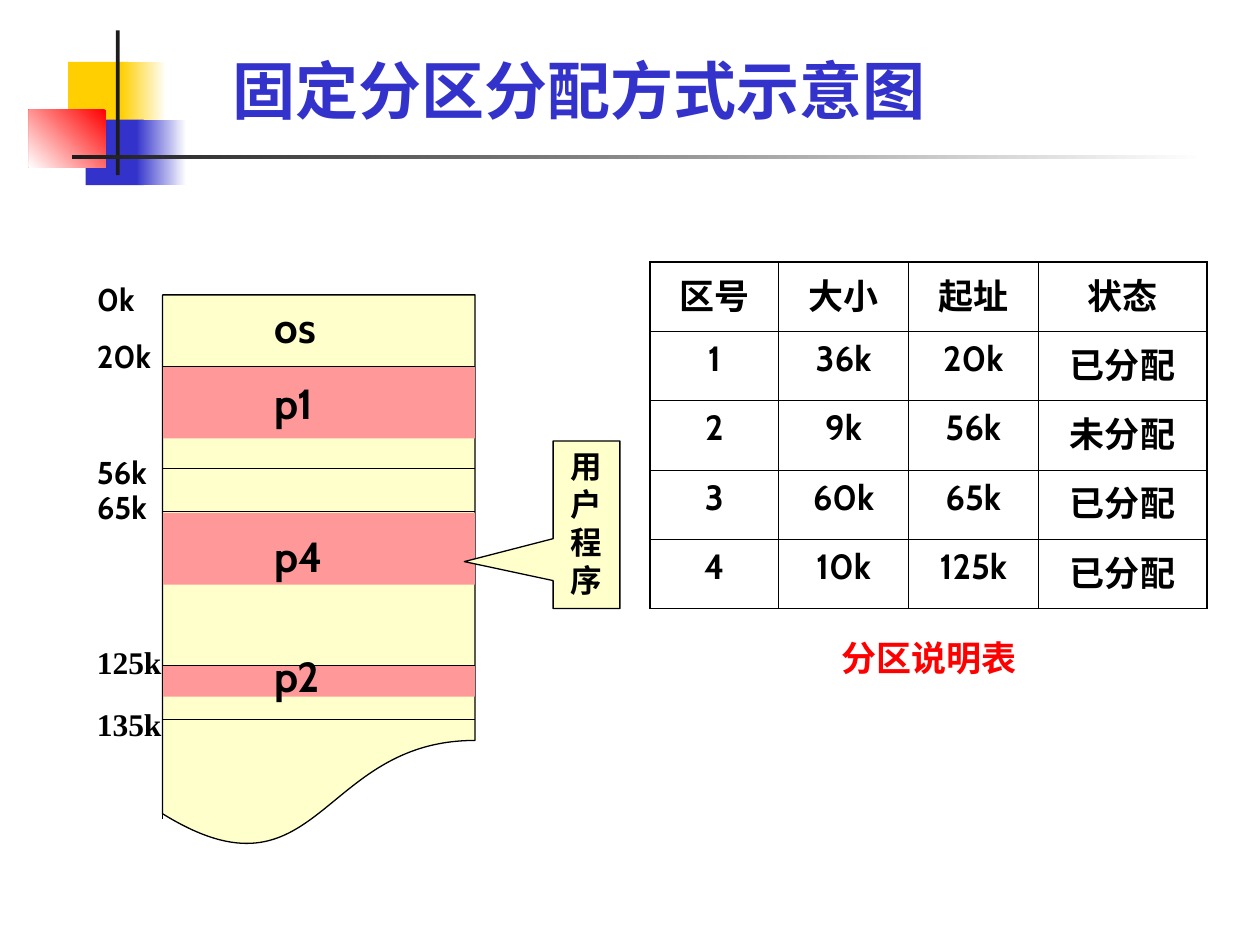
import pptx
import pptx.dml.color
import pptx.enum.shapes
import pptx.enum.text
import pptx.oxml
import pptx.oxml.ns
import pptx.util
from lxml import etree

Inches = pptx.util.Inches
Pt = pptx.util.Pt
RGBColor = pptx.dml.color.RGBColor
MSO_SHAPE = pptx.enum.shapes.MSO_SHAPE
PP_ALIGN = pptx.enum.text.PP_ALIGN
MSO_ANCHOR = pptx.enum.text.MSO_ANCHOR
qn = pptx.oxml.ns.qn

BLACK = RGBColor(0x00, 0x00, 0x00)
WHITE = RGBColor(0xFF, 0xFF, 0xFF)
CHARCOAL = RGBColor(0x1C, 0x1C, 0x1C)
YELLOW = RGBColor(0xFF, 0xCF, 0x01)
BLUE = RGBColor(0x33, 0x33, 0xCC)
RED = RGBColor(0xFF, 0x00, 0x00)
CREAM = RGBColor(0xFF, 0xFF, 0xCC)
PINK = RGBColor(0xFF, 0x99, 0x99)

LATIN = "Cabin"
CJK = "Noto Sans CJK SC"
SERIF = "Times New Roman"


def write_text(tf, text, size=18, color=BLACK, font=LATIN, align=PP_ALIGN.LEFT,
               before=None, spacing=None):
    """Write one bold paragraph, filling the first one if it is empty."""
    p = tf.paragraphs[0] if not tf.text else tf.add_paragraph()
    p.alignment = align
    if before is not None:
        p.space_before = Pt(before)
    if spacing is not None:
        p.line_spacing = spacing
    r = p.add_run()
    r.text = text
    r.font.size = Pt(size)
    r.font.bold = True
    r.font.color.rgb = color
    r.font.name = font
    r.font._element.find(qn("a:latin")).addnext(
        pptx.oxml.parse_xml(
            '<a:ea xmlns:a="http://schemas.openxmlformats.org/drawingml/2006/main" '
            f'typeface="{CJK}"/>'))


def add_text_box(s, left, top, width, height, anchor=MSO_ANCHOR.TOP):
    """Add a wrapping text box and return its text frame."""
    tf = s.shapes.add_textbox(Inches(left), Inches(top), Inches(width), Inches(height)).text_frame
    tf.word_wrap = True
    tf.vertical_anchor = anchor
    return tf


def add_block(s, left, top, width, height, color, kind=MSO_SHAPE.RECTANGLE,
              fade=None, outlined=False):
    """Add a shape, solid or fading to white at the given angle."""
    sp = s.shapes.add_shape(kind, Inches(left), Inches(top), Inches(width), Inches(height))
    sp.shadow.inherit = False
    if fade is None:
        sp.fill.solid()
        sp.fill.fore_color.rgb = color
    else:
        sp.fill.gradient()
        sp.fill.gradient_angle = fade
        for stop, shade in zip(sp.fill.gradient_stops, (color, WHITE)):
            stop.color.rgb = shade
    if outlined:
        sp.line.color.rgb = BLACK
        sp.line.width = Pt(0.75)
    else:
        sp.line.fill.background()
    return sp


def add_line(s, x1, y1, x2, y2):
    """Add a thin black line."""
    line = s.shapes.add_connector(pptx.enum.shapes.MSO_CONNECTOR.STRAIGHT,
                                  Inches(x1), Inches(y1), Inches(x2), Inches(y2))
    line.line.color.rgb = BLACK
    line.line.width = Pt(0.75)
    etree.SubElement(line._element.spPr, qn("a:effectLst"))


def build_ornament(s, left, top):
    """Place the coloured squares and crossing bars of the header."""
    for x, y, w, h, color, fade in (
            (0.31, 0.25, 0.48, 0.52, YELLOW, None),
            (0.73, 0.25, 0.36, 0.52, YELLOW, 0),
            (0.45, 0.71, 0.46, 0.52, BLUE, None),
            (0.85, 0.71, 0.4, 0.52, BLUE, 0),
            (0, 0.63, 0.61, 0.46, RED, 225),
            (0.69, 0, 0.03, 1.15, CHARCOAL, None),
            (0.34, 0.99, 9, 0.03, CHARCOAL, 0)):
        add_block(s, left + x, top + y, w, h, color, fade=fade)


def build_title(s, left, top, width, height):
    """Place the slide title."""
    tf = add_text_box(s, left, top, width, height, MSO_ANCHOR.BOTTOM)
    write_text(tf, "固定分区分配方式示意图", size=36, color=BLUE, font=CJK)


def build_memory_map(s, left, top, width, height):
    """Place the memory column with its programs, dividers and addresses."""
    add_block(s, left, top, width, height, CREAM, MSO_SHAPE.FLOWCHART_DOCUMENT, outlined=True)
    for y, h in ((0.57, 0.57), (1.73, 0.57), (2.94, 0.25)):
        add_block(s, left, top + y, width, h, PINK)
    for y in (0.57, 1.38, 1.72, 2.94, 3.37):
        add_line(s, left, top + y, left + width, top + y)
    add_line(s, left, top + 4.16, left, top)
    for name, y in (("os", 0), ("p1", 0.61), ("p4", 1.82), ("p2", 2.77)):
        write_text(add_text_box(s, left + 0.79, top + y, 0.71, 0.5), name, size=24)

    tf = add_text_box(s, left - 0.62, top - 0.17, 0.8, 3.74)
    for address, font, before, spacing in (
            ("0k", LATIN, None, None),
            ("20k", LATIN, 11.2, None),
            ("56k", LATIN, 44.8, None),
            ("65k", LATIN, 11.2, 0.3),
            ("125k", SERIF, 82, 0.3),
            ("135k", SERIF, 29, 0.3)):
        write_text(tf, address, font=font, before=before, spacing=spacing)


def build_callout(s, left, top, width, height):
    """Place the callout that points at a user program."""
    sp = add_block(s, left, top, width, height, CREAM,
                   MSO_SHAPE.RECTANGULAR_CALLOUT, outlined=True)
    sp.adjustments[0] = -1.83
    sp.adjustments[1] = 0.22
    tf = sp.text_frame
    tf.word_wrap = True
    tf.vertical_anchor = MSO_ANCHOR.TOP
    write_text(tf, "用户程序", align=PP_ALIGN.CENTER)


def set_borders(cell, widths):
    """Give a cell black borders from widths keyed by side."""
    tc_pr = cell._tc.get_or_add_tcPr()
    for i, (side, width) in enumerate(widths.items()):
        ln = etree.Element(qn(f"a:ln{side}"), w=str(Pt(width)))
        fill = etree.SubElement(ln, qn("a:solidFill"))
        etree.SubElement(fill, qn("a:srgbClr"), val=str(BLACK))
        tc_pr.insert(i, ln)


def build_partition_table(s, left, top, width, height):
    """Place the partition table and its caption."""
    rows = (("区号", "大小", "起址", "状态"),
            ("1", "36k", "20k", "已分配"),
            ("2", "9k", "56k", "未分配"),
            ("3", "60k", "65k", "已分配"),
            ("4", "10k", "125k", "已分配"))
    columns = (1.02, 1.03, 1.03, 1.34)
    table = s.shapes.add_table(len(rows), len(columns), Inches(left), Inches(top),
                               Inches(width), Inches(height)).table
    table.first_row = table.horz_banding = False
    for column, w in zip(table.columns, columns):
        column.width = Inches(w)
    outer, inner = 1.08, 0.45
    for i, row in enumerate(rows):
        table.rows[i].height = Inches(height / len(rows))
        for j, text in enumerate(row):
            cell = table.cell(i, j)
            cell.fill.background()
            write_text(cell.text_frame, text, size=20, align=PP_ALIGN.CENTER)
            set_borders(cell, {
                "L": outer if j == 0 else inner,
                "R": outer if j == len(columns) - 1 else inner,
                "T": outer if i == 0 else inner,
                "B": outer if i == len(rows) - 1 else inner})
    tf = add_text_box(s, left + 1.42, top + height + 0.17, 2.08, 0.44)
    write_text(tf, "分区说明表", size=20, color=RED)


def main():
    """Build the slide and save it."""
    prs = pptx.Presentation()
    prs.slide_width, prs.slide_height = Inches(10), Inches(7.5)
    s = prs.slides.add_slide(prs.slide_layouts[6])
    build_ornament(s, 0.23, 0.24)
    build_title(s, 1.75, 0.13, 7.58, 0.93)
    build_memory_map(s, 1.29, 2.34, 2.48, 4.41)
    build_callout(s, 4.39, 3.5, 0.53, 1.33)
    build_partition_table(s, 5.16, 2.08, 4.42, 2.75)
    prs.save("out.pptx")


if __name__ == "__main__":
    main()
